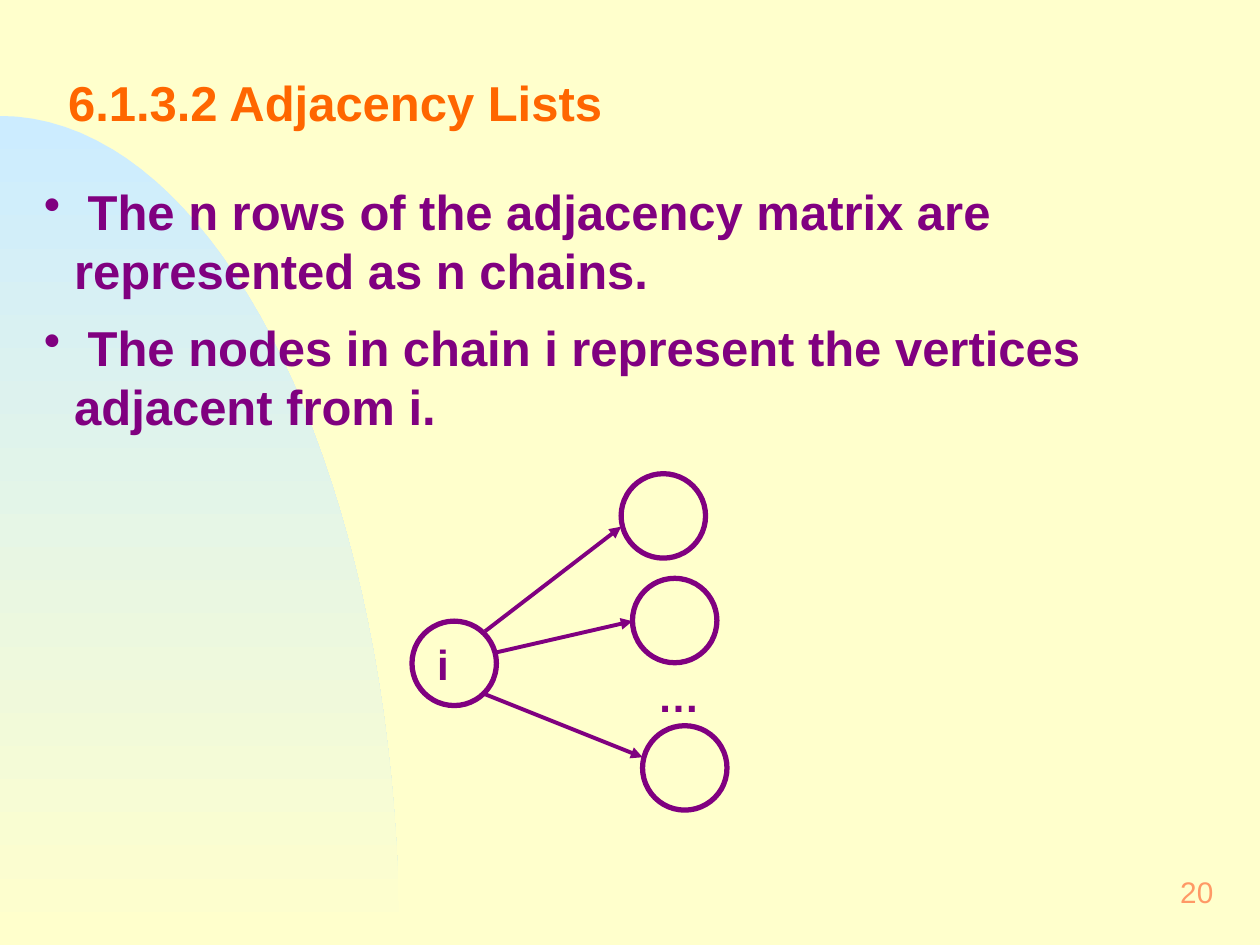
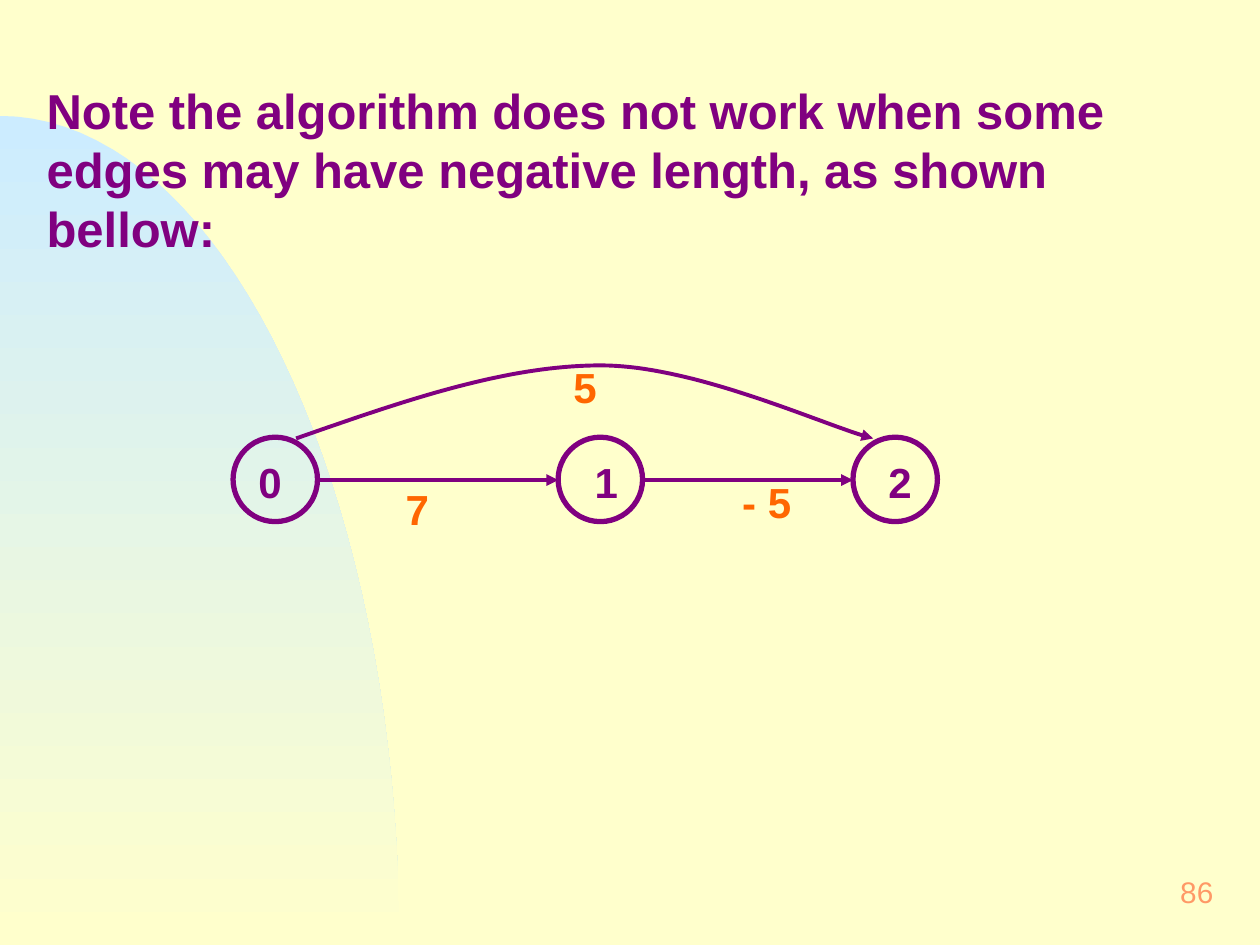
from lxml import etree
from pptx import Presentation
from pptx.dml.color import RGBColor
from pptx.enum import shapes, text
from pptx.oxml import ns
from pptx.util import Inches, Pt

CREAM = "FFFFCC"
SKY = "CCECFF"
PURPLE = "800080"
ORANGE = "FF6600"
PEACH = "FF9966"
FONT = "Arial"
NODE_SIZE = 0.67
INSETS = (0.12, 0.06)


def color(value):
    return RGBColor.from_string(value)


def add_element(parent, tag, **attributes):
    return etree.SubElement(parent, ns.qn(tag), **attributes)


def add_bullet(para):
    properties = para._p.get_or_add_pPr()
    properties.set("marL", str(Inches(0.24)))
    properties.set("indent", str(-Inches(0.24)))
    add_element(properties, "a:buChar", char="•")


def add_text(slide, place, lines, size, ink, bold=True, insets=INSETS,
             spacing=1.0, gap=0, bullets=False, align=text.PP_ALIGN.LEFT,
             anchor=text.MSO_ANCHOR.TOP):
    box = slide.shapes.add_textbox(*map(Inches, place))
    frame = box.text_frame
    frame.word_wrap = True
    frame.vertical_anchor = anchor
    frame.margin_left = frame.margin_right = Inches(insets[0])
    frame.margin_top = frame.margin_bottom = Inches(insets[1])
    for index, line in enumerate(lines):
        para = frame.paragraphs[0] if index == 0 else frame.add_paragraph()
        para.text = line
        if bullets:
            add_bullet(para)
        para.alignment = align
        para.line_spacing = spacing
        if index:
            para.space_before = Pt(gap)
        para.font.name = FONT
        para.font.size = Pt(size)
        para.font.bold = bold
        para.font.color.rgb = color(ink)


def add_label(slide, left, top, label, ink=PURPLE):
    add_text(slide, (left, top, 0.75, 0.52), [label], 24, ink)


def add_node(slide, left, top):
    node = slide.shapes.add_shape(
        shapes.MSO_SHAPE.OVAL,
        *map(Inches, (left, top, NODE_SIZE, NODE_SIZE)))
    node.shadow.inherit = False
    node.fill.background()
    node.line.color.rgb = color(PURPLE)
    node.line.width = Pt(3)


def style_arrow(arrow):
    arrow.line.color.rgb = color(PURPLE)
    arrow.line.width = Pt(2.25)
    add_element(arrow.line._get_or_add_ln(), "a:tailEnd", type="triangle")


def add_arrow(slide, start, end):
    arrow = slide.shapes.add_connector(
        shapes.MSO_CONNECTOR.STRAIGHT, *map(Inches, start + end))
    style_arrow(arrow)
    add_element(arrow._element.spPr, "a:effectLst")


def curve_points(start, control_1, control_2, end, steps=40):
    points = []
    for step in range(steps + 1):
        t = step / steps
        weights = ((1 - t) ** 3, 3 * t * (1 - t) ** 2,
                   3 * t ** 2 * (1 - t), t ** 3)
        points.append(tuple(
            sum(weight * value for weight, value in zip(weights, axis))
            for axis in zip(start, control_1, control_2, end)))
    return points


def add_outline(slide, points, close):
    corners = [(Inches(x), Inches(y)) for x, y in points]
    builder = slide.shapes.build_freeform(*corners[0])
    builder.add_line_segments(corners[1:], close=close)
    outline = builder.convert_to_shape()
    outline.shadow.inherit = False
    return outline


def add_curved_arrow(slide):
    points = curve_points((2.35, 3.48), (3.18, 3.19), (4, 2.9), (4.77, 2.9))
    points += curve_points((4.77, 2.9), (5.53, 2.9), (6.57, 3.39),
                           (6.93, 3.48))[1:]
    arrow = add_outline(slide, points, close=False)
    arrow.fill.background()
    style_arrow(arrow)


def add_backdrop(slide):
    slide.background.fill.solid()
    slide.background.fill.fore_color.rgb = color(CREAM)
    edge = curve_points((0, 0.92), (1.75, 0.92), (3.17, 3.87), (3.17, 7.5))
    hill = add_outline(slide, edge + [(0, 7.5)], close=True)
    hill.fill.gradient()
    hill.fill.gradient_angle = 270
    for stop, position, tint in zip(hill.fill.gradient_stops, (0, 1),
                                    (SKY, CREAM)):
        stop.position = position
        stop.color.rgb = color(tint)
    hill.line.fill.background()


def add_slide(deck, number):
    slide = deck.slides.add_slide(deck.slide_layouts[6])
    add_backdrop(slide)
    add_text(slide, (7.67, 6.83, 2.08, 0.5), [str(number)], 17, PEACH,
             bold=False, align=text.PP_ALIGN.RIGHT,
             anchor=text.MSO_ANCHOR.MIDDLE)
    return slide


def build_adjacency_lists(deck):
    slide = add_slide(deck, 20)
    add_text(slide, (0.42, 0.33, 9.25, 1.08), ["6.1.3.2 Adjacency Lists"],
             28, ORANGE, spacing=0.7, anchor=text.MSO_ANCHOR.MIDDLE)
    add_text(slide, (0.25, 1.39, 9.58, 2.12), [
        " The n rows of the adjacency matrix are represented as n chains.",
        " The nodes in chain i represent the vertices adjacent from i.",
    ], 28, PURPLE, insets=(0.1, 0.05), gap=10.5, bullets=True)
    for left, top in ((3.27, 4.93), (4.93, 3.76), (5.02, 4.59), (5.1, 5.76)):
        add_node(slide, left, top)
    for start, end in (((3.85, 5.01), (4.93, 4.18)),
                       ((3.93, 5.18), (5.02, 4.93)),
                       ((3.85, 5.51), (5.1, 6.01))):
        add_arrow(slide, start, end)
    add_label(slide, 3.35, 5.01, "i")
    add_label(slide, 5.1, 5.26, "…")


def build_negative_length(deck):
    slide = add_slide(deck, 86)
    add_text(slide, (0.25, 0.58, 9.58, 1.59), [
        "Note the algorithm does not work when some edges may have "
        "negative length, as shown bellow:"], 28, PURPLE)
    node_lefts = (1.85, 4.43, 6.77)
    for vertex, (left, label_left) in enumerate(
            zip(node_lefts, (1.93, 4.6, 6.93))):
        add_node(slide, left, 3.47)
        add_label(slide, label_left, 3.56, str(vertex))
    for left, next_left in zip(node_lefts, node_lefts[1:]):
        add_arrow(slide, (left + NODE_SIZE, 3.81), (next_left, 3.81))
    add_curved_arrow(slide)
    for left, top, length in ((3.1, 3.78, "7"), (5.77, 3.72, "- 5"),
                              (4.43, 2.81, "5")):
        add_label(slide, left, top, length, ORANGE)


def main():
    deck = Presentation()
    deck.slide_width = Inches(10)
    deck.slide_height = Inches(7.5)
    build_adjacency_lists(deck)
    build_negative_length(deck)
    deck.save("out.pptx")


if __name__ == "__main__":
    main()
